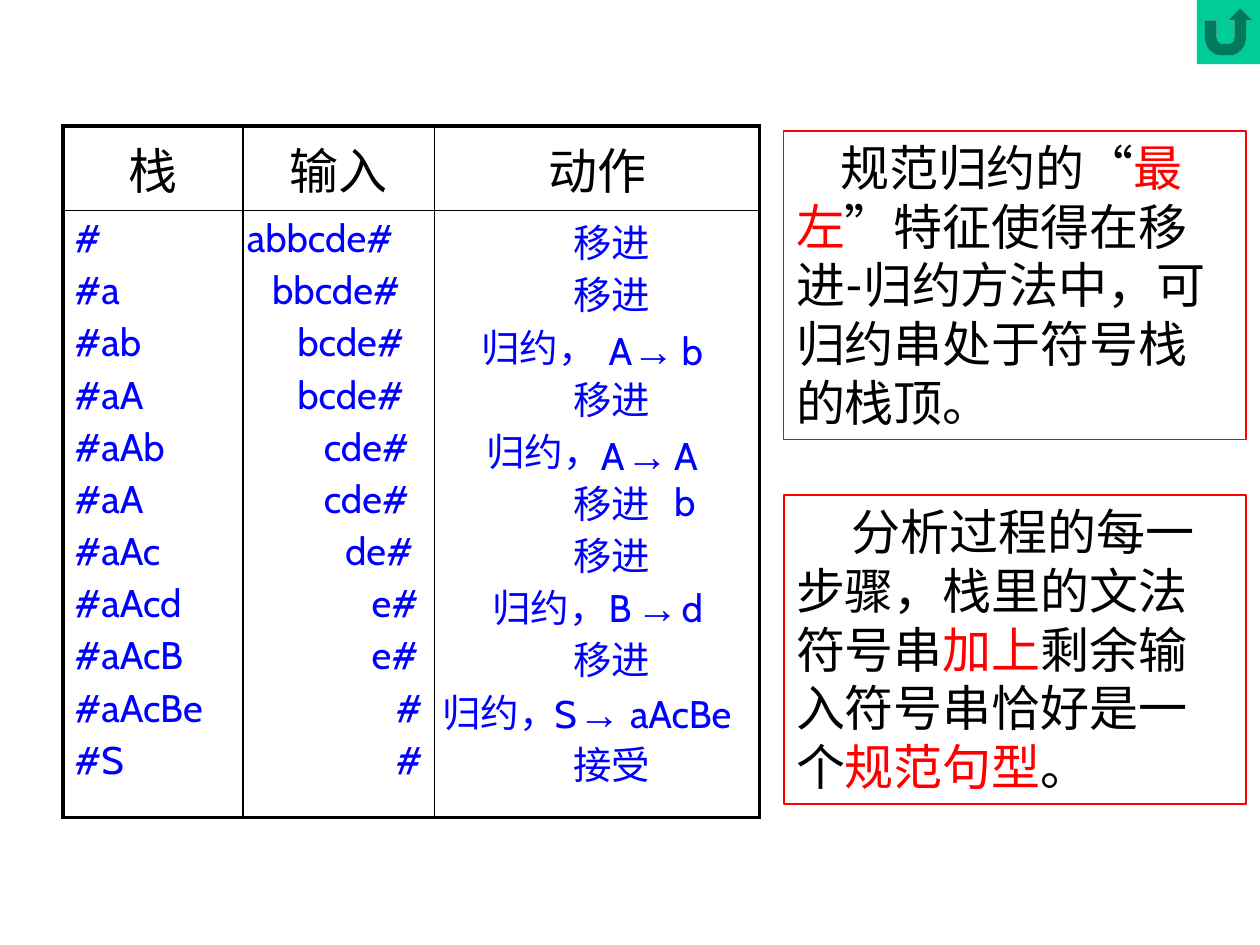
from dataclasses import dataclass
from lxml.etree import SubElement
from pptx import Presentation
from pptx.dml.color import RGBColor as Rgb
from pptx.enum.lang import MSO_LANGUAGE_ID as Lang
from pptx.enum.shapes import MSO_SHAPE as Shape
from pptx.enum.text import MSO_ANCHOR as Anchor, PP_ALIGN as Align
from pptx.oxml.ns import qn
from pptx.util import Inches, Pt


@dataclass(frozen=True)
class Theme:
    ink: str = "000000"
    red: str = "FF0000"
    blue: str = "0000FF"
    green: str = "00CC99"
    serif: str = "Times New Roman"
    latin: str = "Cabin"
    dash: str = "Lato"
    han: str = "Noto Sans CJK SC"
    big: int = 28
    step: int = 22
    arrow: int = 24
    thick: float = 2.25
    thin: float = 1


LOOK = Theme()
HEADS = ["栈", "输入", "动作"]
WIDTHS = [1.43, 1.52, 2.58]
HEIGHTS = [0.67, 4.82]
STEPS = [
    ("#", "abbcde#", 1.96, "移进"),
    ("#a", "bbcde#", 2.16, "移进"),
    ("#ab", "bcde#", 2.36, (3.82, 4.83, "A", 5.02, "b", 5.41, 0.07)),
    ("#aA", "bcde#", 2.36, "移进"),
    ("#aAb", "cde#", 2.57, (3.86, 4.77, "A", 4.97, "Ab", 5.35, 0.07)),
    ("#aA", "cde#", 2.57, "移进"),
    ("#aAc", "de#", 2.74, "移进"),
    ("#aAcd", "e#", 2.95, (3.91, 4.83, "B", 5.05, "d", 5.41, 0.04)),
    ("#aAcB", "e#", 2.95, "移进"),
    ("#aAcBe", "#", 3.14, (3.51, 4.4, "S", 4.59, "aAcBe", 5, 0.05)),
    ("#S", "#", 3.14, "接受"),
]


def apply(item, form):
    for name, value in form.items():
        setattr(item, name, value)


def write(para, text, size, face, color):
    run = para.add_run()
    run.text = text
    apply(run.font, {"size": Pt(size), "name": face,
                     "language_id": Lang.SIMPLIFIED_CHINESE})
    run.font.color.rgb = Rgb.from_string(color)
    SubElement(run.font._element, qn("a:ea"), typeface=LOOK.han)


def edge(cell, side, width):
    props = cell._tc.get_or_add_tcPr()
    line = SubElement(props, qn("a:ln" + side), w=str(Pt(width)))
    fill = SubElement(line, qn("a:solidFill"))
    SubElement(fill, qn("a:srgbClr"), val=LOOK.ink)


def frame(slide, box):
    table = slide.shapes.add_table(2, 3, *map(Inches, box)).table
    apply(table, {"first_row": False, "horz_banding": False})
    for col, width in zip(table.columns, WIDTHS):
        col.width = Inches(width)
    for row, height in zip(table.rows, HEIGHTS):
        row.height = Inches(height)
    for r in range(2):
        for c in range(3):
            cell = table.cell(r, c)
            outer = {"L": c == 0, "R": c == 2, "T": r == 0, "B": r == 1}
            for side, rim in outer.items():
                edge(cell, side, LOOK.thick if rim else LOOK.thin)
            cell.fill.background()
    for c, head in enumerate(HEADS):
        para = table.cell(0, c).text_frame.paragraphs[0]
        para.alignment = Align.CENTER
        write(para, head, LOOK.big, LOOK.serif, LOOK.ink)


def label(slide, left, top, text, face=LOOK.latin, size=LOOK.step, width=None):
    if width is None:
        width = 0.31 * len(text) if face == LOOK.han else 0.17 * len(text) + 0.06
    box = slide.shapes.add_textbox(*map(Inches, (left, top, width, 0.37)))
    apply(box.text_frame, {"word_wrap": True, "margin_left": 0, "margin_right": 0,
                           "margin_top": 0, "margin_bottom": 0})
    write(box.text_frame.paragraphs[0], text, size, face, LOOK.blue)


def reduce(slide, top, rule):
    tag, first, head, arrow, tail, last, drop = rule
    label(slide, tag, top + 0.04, "归约，", LOOK.han)
    label(slide, first, top + drop, head)
    label(slide, last, top + drop, tail, width=0.2 if tail == "Ab" else None)
    label(slide, arrow, top + drop - 0.02, "→", LOOK.serif, LOOK.arrow, 0.4)


def trace(slide, box):
    left, start, _, height = box
    pitch = height / (len(STEPS) - 1)
    for i, (stack, rest, place, action) in enumerate(STEPS):
        top = start + i * pitch
        label(slide, left, top, stack)
        label(slide, place, top, rest)
        if isinstance(action, str):
            label(slide, 4.55, top + 0.04, action, LOOK.han)
        else:
            reduce(slide, top, action)


def note(slide, box, width, indent, parts):
    shape = slide.shapes.add_shape(Shape.RECTANGLE, *map(Inches, box))
    shape.shadow.inherit = False
    shape.fill.background()
    shape.line.color.rgb = Rgb.from_string(LOOK.red)
    shape.line.width = Pt(width)
    apply(shape.text_frame, {"word_wrap": True, "vertical_anchor": Anchor.TOP})
    para = shape.text_frame.paragraphs[0]
    para.alignment = Align.LEFT
    para._p.get_or_add_pPr().set("indent", str(Inches(indent)))
    for text, color in parts:
        face = LOOK.dash if text == "-" else LOOK.serif
        write(para, text, LOOK.big, face, color)


def button(slide, box):
    shape = slide.shapes.add_shape(Shape.ACTION_BUTTON_RETURN, *map(Inches, box))
    shape.shadow.inherit = False
    shape.fill.solid()
    shape.fill.fore_color.rgb = Rgb.from_string(LOOK.green)
    shape.line.fill.background()


def main():
    deck = Presentation()
    apply(deck, {"slide_width": Inches(10), "slide_height": Inches(7.5)})
    slide = deck.slides.add_slide(deck.slide_layouts[6])
    frame(slide, (0.5, 1, sum(WIDTHS), sum(HEIGHTS)))
    trace(slide, (0.59, 1.7, 5.3, 4.14))
    note(slide, (6.22, 1.04, 3.67, 2.45), 0.75, 0.35, [
        ("规范归约的“", LOOK.ink), ("最左", LOOK.red),
        ("”特征使得在移进", LOOK.ink), ("-", LOOK.ink),
        ("归约方法中，可归约串处于符号栈的栈顶。", LOOK.ink)])
    note(slide, (6.22, 3.93, 3.67, 2.45), 1, 0.44, [
        ("分析过程的每一步骤，栈里的文法符号串", LOOK.ink), ("加上", LOOK.red),
        ("剩余输入符号串恰好是一个", LOOK.ink), ("规范句型", LOOK.red),
        ("。", LOOK.ink)])
    button(slide, (9.5, 0, 0.5, 0.51))
    deck.save("out.pptx")


if __name__ == "__main__":
    main()
